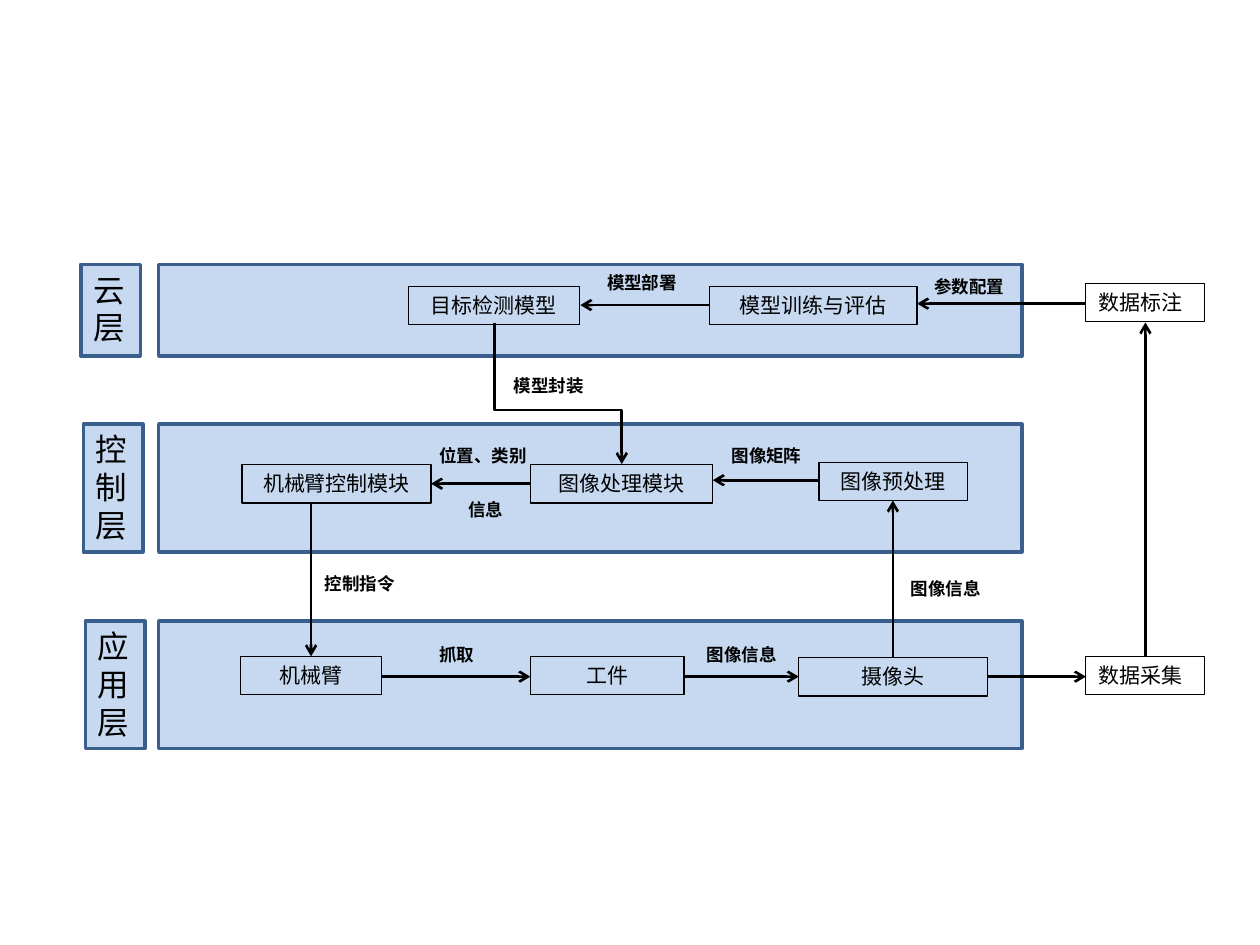
"""Build a three-layer architecture diagram of a vision-guided robot arm."""
from lxml import etree
from pptx import Presentation
from pptx.dml.color import RGBColor
from pptx.enum import shapes, text
from pptx.oxml.ns import qn
from pptx.util import Cm, Pt


def paint(target, color, width=None):
    if width:
        target.width = Pt(width)
    target.fill.solid()
    target.fill.fore_color.rgb = RGBColor.from_string(color)


def write(box, wording, font, size, bold=False, align=text.PP_ALIGN.LEFT):
    frame = box.text_frame
    frame.text = wording
    frame.word_wrap = True
    frame.auto_size = text.MSO_AUTO_SIZE.SHAPE_TO_FIT_TEXT
    frame.vertical_anchor = text.MSO_ANCHOR.TOP
    para = frame.paragraphs[0]
    para.alignment = align
    span = para.runs[0]
    span.font.name = font
    span.font.size = Pt(size)
    span.font.bold = bold
    span.font.color.rgb = RGBColor.from_string("000000")


deck = Presentation()
deck.slide_width, deck.slide_height = Cm(25.4), Cm(19.05)
page = deck.slides.add_slide(deck.slide_layouts[6])

layers = [
    ("云层", 1.63, 5.33, 1.85, 1.6),
    ("控制层", 1.68, 8.55, 2.58, 1.2),
    ("应用层", 1.72, 12.52, 2.57, 1.2),
]
for name, left, top, height, text_width in layers:
    for panel_left, panel_width in ((left, 1.2), (3.2, 17.4)):
        panel = page.shapes.add_shape(
            shapes.MSO_SHAPE.RECTANGLE,
            Cm(panel_left), Cm(top), Cm(panel_width), Cm(height))
        panel.shadow.inherit = False
        paint(panel, "C6D9F1")
        paint(panel.line, "3A5F8C", 2)
    tag = page.shapes.add_textbox(Cm(left), Cm(top), Cm(text_width), Cm(height))
    write(tag, name, "Calibri", 18)

center, start = text.PP_ALIGN.CENTER, text.PP_ALIGN.LEFT
modules = [
    ("目标检测模型", 8.23, 5.77, 3.45, center),
    ("模型训练与评估", 14.3, 5.77, 4.19, center),
    ("数据标注", 21.89, 5.72, 2.39, start),
    ("机械臂控制模块", 4.88, 9.37, 3.81, center),
    ("图像处理模块", 10.69, 9.37, 3.68, center),
    ("图像预处理", 16.51, 9.32, 3, center),
    ("机械臂", 4.85, 13.23, 2.84, center),
    ("工件", 10.69, 13.23, 3.1, center),
    ("摄像头", 16.1, 13.26, 3.81, center),
    ("数据采集", 21.89, 13.23, 2.39, start),
]
for name, left, top, width, align in modules:
    module = page.shapes.add_shape(
        shapes.MSO_SHAPE.RECTANGLE, Cm(left), Cm(top), Cm(width), Cm(0.77))
    module.shadow.inherit = False
    module.fill.background()
    paint(module.line, "000000", 0.75)
    write(module, name, "Arial", 12, align=align)

straight, elbow = shapes.MSO_CONNECTOR.STRAIGHT, shapes.MSO_CONNECTOR.ELBOW
arrows = [
    (straight, 21.89, 6.12, 18.49, 6.12),
    (straight, 14.3, 6.15, 11.7, 6.15),
    (straight, 16.51, 9.68, 14.37, 9.68),
    (straight, 10.69, 9.75, 8.69, 9.75),
    (straight, 6.27, 10.14, 6.27, 13.23),
    (straight, 7.69, 13.64, 10.69, 13.64),
    (straight, 13.79, 13.64, 16.1, 13.64),
    (straight, 18, 13.26, 18, 10.09),
    (straight, 19.9, 13.64, 21.89, 13.64),
    (straight, 23.09, 13.23, 23.09, 6.5),
    (elbow, 12.67, 6.65, 9.83, 9.22),
]
for kind, *ends in arrows:
    arrow = page.shapes.add_connector(kind, *map(Cm, ends))
    paint(arrow.line, "000000", 1.5)
    properties = arrow._element.spPr
    etree.SubElement(properties.find(qn("a:ln")), qn("a:tailEnd"), type="arrow")
    etree.SubElement(properties, qn("a:effectLst"))
    if kind == elbow:
        properties.find(qn("a:xfrm")).set("rot", str(270 * 60000))
        guides = properties.find(qn("a:prstGeom")).find(qn("a:avLst"))
        etree.SubElement(guides, qn("a:gd"), name="adj1", fmla="val 61600")

labels = [
    ("模型部署", 11.99, 5.36),
    ("参数配置", 18.59, 5.44),
    ("模型封装", 10.11, 7.44),
    ("位置、类别", 8.61, 8.84),
    ("信息", 9.19, 9.93),
    ("图像矩阵", 14.5, 8.84),
    ("控制指令", 6.3, 11.43),
    ("图像信息", 18.11, 11.53),
    ("抓取", 8.61, 12.85),
    ("图像信息", 14, 12.85),
]
for wording, left, top in labels:
    label = page.shapes.add_textbox(Cm(left), Cm(top), Cm(2.31), Cm(0.69))
    write(label, wording, "Calibri", 10, bold=True)

deck.save("out.pptx")
